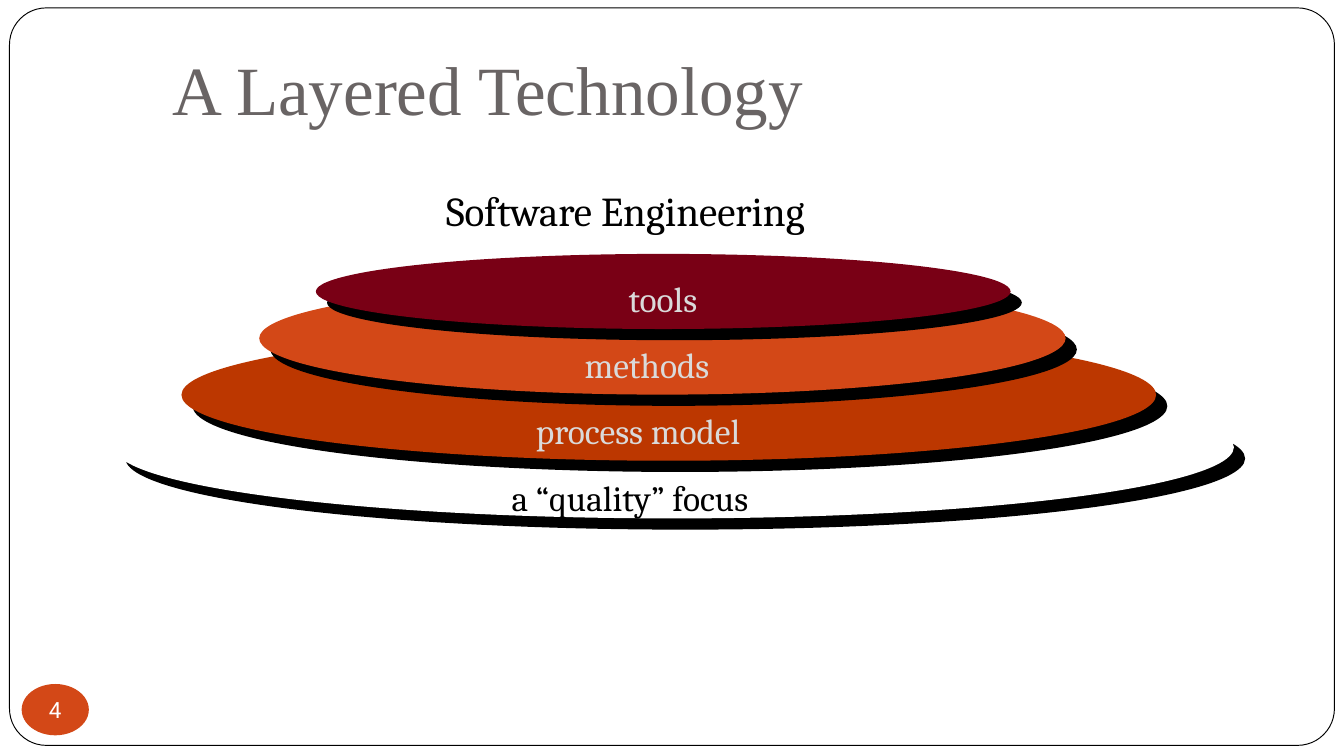
import pptx
import pptx.dml.color
import pptx.enum.shapes
import pptx.enum.text
import pptx.oxml
import pptx.oxml.ns
import pptx.util

Cm = pptx.util.Cm
Pt = pptx.util.Pt
RGBColor = pptx.dml.color.RGBColor
MSO_SHAPE = pptx.enum.shapes.MSO_SHAPE

WHITE = RGBColor(0xFF, 0xFF, 0xFF)
BLACK = RGBColor(0x00, 0x00, 0x00)
GREY = RGBColor(0x69, 0x64, 0x64)
PALE = RGBColor(0xDA, 0xDA, 0xDA)
ORANGE = RGBColor(0xD3, 0x48, 0x17)
RUST = RGBColor(0xBC, 0x37, 0x00)
MAROON = RGBColor(0x79, 0x00, 0x15)

LAYERS = [
    ("a “quality” focus", WHITE, BLACK, (0, 2.31, 21.16, 2.69), 7.26, 5.49),
    ("process model", RUST, PALE, (1.27, 1.42, 18.42, 2.49), 7.72, 4.72),
    ("methods", ORANGE, PALE, (2.74, 0.53, 15.24, 2.13), 8.64, 3.05),
    ("tools", MAROON, PALE, (3.81, 0, 13.13, 1.42), 9.47, 1.9),
]
LABEL_TOP = 0.31
LABEL_STEP = 1.25
LABEL_HEIGHT = 1.04


def add_filled(s, kind, box, color):
    sp = s.shapes.add_shape(kind, *map(Cm, box))
    sp.shadow.inherit = False
    sp.fill.solid()
    sp.fill.fore_color.rgb = color
    sp.line.fill.background()
    return sp


def add_hard_shadow(sp):
    effects = sp.element.spPr.find(pptx.oxml.ns.qn("a:effectLst"))
    effects.append(pptx.oxml.parse_xml(
        f'<a:outerShdw {pptx.oxml.ns.nsdecls("a")} blurRad="0" dist="{Pt(8.5)}" '
        'dir="2700000" algn="ctr" rotWithShape="0"><a:srgbClr val="000000"/></a:outerShdw>'))


def write(sp, text, size, font, color, inset=(0.25, 0.13)):
    tf = sp.text_frame
    tf.word_wrap = False
    tf.margin_left = tf.margin_right = Cm(inset[0])
    tf.margin_top = tf.margin_bottom = Cm(inset[1])
    p = tf.paragraphs[0]
    r = p.add_run()
    r.text = text
    r.font.size = Pt(size)
    r.font.name = font
    r.font.color.rgb = color
    return tf


def add_text(s, box, *style, **options):
    write(s.shapes.add_textbox(*map(Cm, box)), *style, **options)


def add_frame(s, box):
    sp = add_filled(s, MSO_SHAPE.ROUNDED_RECTANGLE, box, WHITE)
    sp.adjustments[0] = 0.05
    sp.line.color.rgb = BLACK
    sp.line.width = Pt(0.5)


def add_headings(s, box):
    left, top, width, height = box
    add_text(s, box, "A Layered Technology", 37, "Times New Roman", GREY,
             inset=(0.15, 0.08))
    add_text(s, (left + 5.06, top + 2.59, 7.9, 1.17),
             "Software Engineering", 22, "Cambria", BLACK)


def add_layers(s, left, top):
    for text, fill, color, (x, y, width, height), label_x, label_width in LAYERS:
        sp = add_filled(s, MSO_SHAPE.OVAL, (left + x, top + y, width, height), fill)
        add_hard_shadow(sp)
    for i, (text, fill, color, oval, label_x, label_width) in enumerate(LAYERS):
        y = LABEL_TOP + LABEL_STEP * (len(LAYERS) - 1 - i)
        add_text(s, (left + label_x, top + y, label_width, LABEL_HEIGHT),
                 text, 19, "Cambria", color)


def add_page_number(s, box, number):
    sp = add_filled(s, MSO_SHAPE.OVAL, box, ORANGE)
    tf = write(sp, number, 12, "Roboto", WHITE, inset=(0, 0))
    tf.vertical_anchor = pptx.enum.text.MSO_ANCHOR.MIDDLE
    tf.paragraphs[0].alignment = pptx.enum.text.PP_ALIGN.CENTER


def main():
    prs = pptx.Presentation()
    prs.slide_width = Cm(25.4)
    prs.slide_height = Cm(14.29)
    s = prs.slides.add_slide(prs.slide_layouts[6])
    add_frame(s, (0.18, 0.15, 25.04, 13.94))
    add_headings(s, (3.12, 0.79, 12.37, 1.73))
    add_layers(s, 2.16, 4.8)
    add_page_number(s, (0.41, 12.93, 1.27, 0.97), "4")
    prs.save("out.pptx")


if __name__ == "__main__":
    main()
